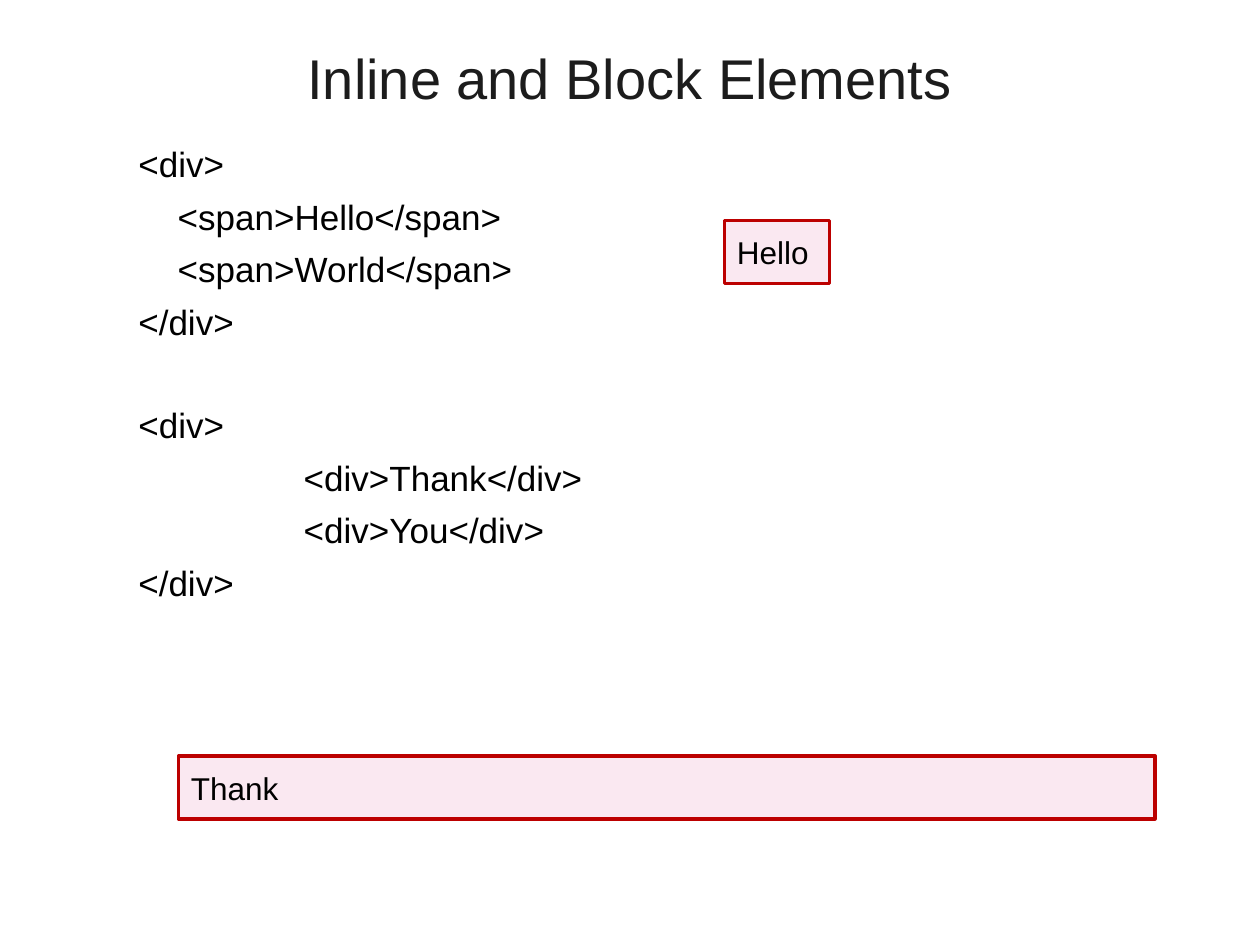
from dataclasses import dataclass

from pptx import Presentation
from pptx.dml.color import RGBColor
from pptx.enum.shapes import MSO_SHAPE
from pptx.enum.text import MSO_ANCHOR, PP_ALIGN
from pptx.util import Pt

RECT = MSO_SHAPE.RECTANGLE
MIDDLE = MSO_ANCHOR.MIDDLE
LEFT, CENTER = PP_ALIGN.LEFT, PP_ALIGN.CENTER

FONT = "Arial"
BLACK, GREY, PINK, RED = "000000", "1C1C1C", "FAE8F1", "BC0000"
GAP = 6
BREAK = 35  # space before a new block of code


@dataclass
class Line:
    text: str
    indent: float = 36
    before: float = GAP


@dataclass
class Box:
    text: str
    left: float
    top: float
    width: float
    height: float = 36


CODE = [
    Line("<div>"),
    Line("<span>Hello</span>", 58.5),
    Line("<span>World</span>", 58.5),
    Line("</div>"),
    Line("<div>", before=BREAK),
    Line("<div>Thank</div>", 130.5),
    Line("<div>You</div>", 130.5),
    Line("</div>"),
]
BOXES = [Box("Hello", 414, 126, 60), Box("Thank", 102, 432, 558)]


def color(code: str) -> RGBColor:
    return RGBColor.from_string(code)


def write(para, text: str, size: float, ink: str = BLACK, align=LEFT) -> None:
    para.text = text
    para.alignment = align
    para.font.name = FONT
    para.font.size = Pt(size)
    para.font.color.rgb = color(ink)


def add_text(slide, left: float, top: float, width: float, height: float):
    """Add an empty wrapped text box and return its frame."""
    shape = slide.shapes.add_textbox(Pt(left), Pt(top), Pt(width), Pt(height))
    shape.text_frame.word_wrap = True
    return shape.text_frame


def add_code(slide, lines: list[Line]) -> None:
    frame = add_text(slide, 36, 78, 648, 404.5)
    for i, line in enumerate(lines):
        para = frame.add_paragraph() if i else frame.paragraphs[0]
        write(para, line.text, 20)
        para.space_before = Pt(line.before)
        para._p.get_or_add_pPr().set("marL", str(Pt(line.indent)))


def add_box(slide, box: Box) -> None:
    shape = slide.shapes.add_shape(
        RECT, Pt(box.left), Pt(box.top), Pt(box.width), Pt(box.height))
    shape.shadow.inherit = False
    shape.fill.solid()
    shape.fill.fore_color.rgb = color(PINK)
    shape.line.color.rgb = color(RED)
    shape.line.width = Pt(2)
    frame = shape.text_frame
    frame.vertical_anchor = MIDDLE
    write(frame.paragraphs[0], box.text, 18)


def main() -> None:
    deck = Presentation()
    deck.slide_width, deck.slide_height = Pt(720), Pt(540)
    slide = deck.slides.add_slide(deck.slide_layouts[6])

    title = add_text(slide, 36, 21.6, 648, 45)
    title.vertical_anchor = MIDDLE
    write(title.paragraphs[0], "Inline and Block Elements", 32, GREY, CENTER)

    add_code(slide, CODE)
    for box in BOXES:
        add_box(slide, box)
    deck.save("out.pptx")


if __name__ == "__main__":
    main()
